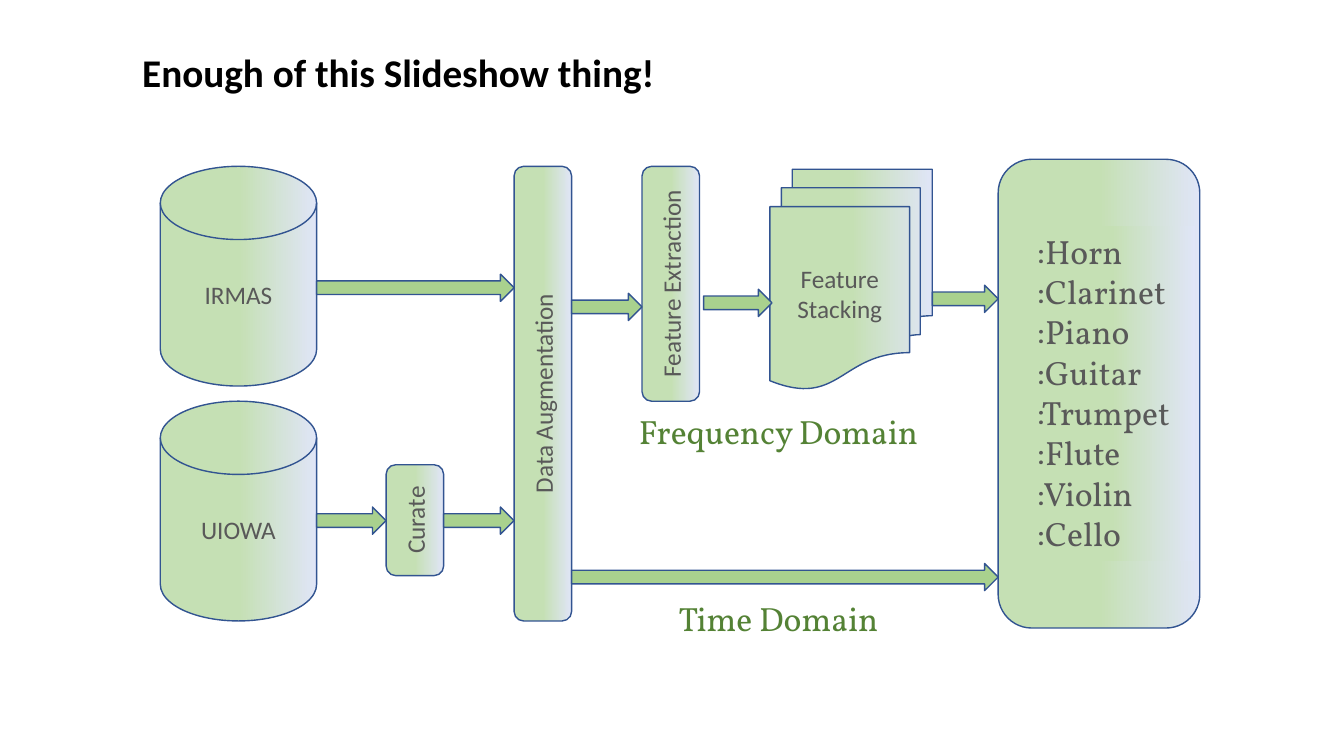
import dataclasses
import typing

import pptx
import pptx.dml.color
import pptx.enum.shapes
import pptx.enum.text
import pptx.shapes.autoshape
import pptx.util

Shape = pptx.shapes.autoshape.Shape
Preset = pptx.enum.shapes.MSO_SHAPE
Align = pptx.enum.text.PP_ALIGN
Anchor = pptx.enum.text.MSO_ANCHOR


@dataclasses.dataclass(frozen=True)
class Theme:
    green: str = "C5E0B4"
    lavender: str = "E0E5F7"
    arrow: str = "A9D18E"
    outline: str = "325491"
    label: str = "595959"
    domain: str = "548235"
    title: str = "000000"
    sans: str = "Calibri"
    serif: str = "Vollkorn"
    title_size: int = 28
    serif_size: int = 24
    label_size: int = 18
    line_width: int = 1


class Box(typing.NamedTuple):
    left: float
    top: float
    width: float
    height: float


class Stage(typing.NamedTuple):
    preset: Preset
    box: Box
    text: str = ""
    upright: bool = False


class Flow(typing.NamedTuple):
    start: float
    end: float
    top: float


class Caption(typing.NamedTuple):
    text: str
    top: float


THEME = Theme()
SLIDE_WIDTH = pptx.util.Inches(13.33)
SLIDE_HEIGHT = pptx.util.Inches(7.5)

TOP = 22
ROW = 31.07
DISK_LEFT, DISK_WIDTH, DISK_HEIGHT = 11.93, 11.63, 29.07
DISK_RIGHT = DISK_LEFT + DISK_WIDTH
COLUMN = 9.52
BAR_WIDTH = 4.28
CURATE, AUGMENTATION, EXTRACTION, STACKING = (28.73 + COLUMN * step for step in range(4))
CLASSES = 74.27
ARROW_HEIGHT = 3.6
GAP = 0.3
STACK_WIDTH = 12.08
CURATE_FLOW = 67.07

BAR = Preset.FLOWCHART_ALTERNATE_PROCESS
DISK = Preset.FLOWCHART_MAGNETIC_DISK

STAGES = [
    Stage(Preset.ROUNDED_RECTANGLE, Box(CLASSES, 21.07, 15, 62)),
    *(
        Stage(DISK, Box(DISK_LEFT, TOP + ROW * row, DISK_WIDTH, DISK_HEIGHT), name)
        for row, name in enumerate(["IRMAS", "UIOWA"])
    ),
    Stage(Preset.FLOWCHART_MULTIDOCUMENT, Box(STACKING, 22.4, STACK_WIDTH, DISK_HEIGHT), "Feature Stacking"),
    Stage(BAR, Box(CURATE, 61.47, BAR_WIDTH, 14.67), "Curate", True),
    Stage(BAR, Box(AUGMENTATION, TOP, BAR_WIDTH, ROW + DISK_HEIGHT), "Data Augmentation", True),
    Stage(BAR, Box(EXTRACTION, TOP, BAR_WIDTH, ROW), "Feature Extraction", True),
]
FLOWS = [
    Flow(DISK_RIGHT, CURATE, CURATE_FLOW),
    Flow(CURATE + BAR_WIDTH, AUGMENTATION, CURATE_FLOW),
    Flow(AUGMENTATION + BAR_WIDTH, CLASSES, 74.53),
    Flow(AUGMENTATION + BAR_WIDTH, EXTRACTION, 38.8),
    Flow(EXTRACTION + BAR_WIDTH + GAP, STACKING + GAP / 2, 38.27),
    Flow(STACKING + STACK_WIDTH, CLASSES, 37.73),
    Flow(DISK_RIGHT, AUGMENTATION, 36.27),
]
CAPTIONS = [Caption("Time Domain", 78.4), Caption("Frequency Domain", 53.73)]
INSTRUMENTS = ["Horn", "Clarinet", "Piano", "Guitar", "Trumpet", "Flute", "Violin", "Cello"]


def color(code: str) -> pptx.dml.color.RGBColor:
    return pptx.dml.color.RGBColor.from_string(code)


def place(box: Box) -> tuple[int, int, int, int]:
    sides = (SLIDE_WIDTH, SLIDE_HEIGHT, SLIDE_WIDTH, SLIDE_HEIGHT)
    left, top, width, height = (round(side * share / 100) for side, share in zip(sides, box))
    return left, top, width, height


def write(shape: Shape, text: str, font: str, size: int, code: str, align: Align,
          anchor: Anchor = Anchor.TOP, bold: bool = False) -> None:
    frame = shape.text_frame
    frame.text = text
    frame.word_wrap = True
    frame.vertical_anchor = anchor
    for paragraph in frame.paragraphs:
        paragraph.alignment = align
        for run in paragraph.runs:
            run.font.name = font
            run.font.size = pptx.util.Pt(size)
            run.font.bold = bold
            run.font.color.rgb = color(code)


def fill_gradient(shape: Shape) -> None:
    shape.fill.gradient()
    shape.fill.gradient_angle = 0
    stops = [(0.5, THEME.green), (1, THEME.lavender)]
    for stop, (position, code) in zip(shape.fill.gradient_stops, stops):
        stop.position = position
        stop.color.rgb = color(code)


def add_outlined(slide: pptx.slide.Slide, preset: Preset, box: Box) -> Shape:
    shape = slide.shapes.add_shape(preset, *place(box))
    shape.shadow.inherit = False
    shape.line.color.rgb = color(THEME.outline)
    shape.line.width = pptx.util.Pt(THEME.line_width)
    return shape


def add_stage(slide: pptx.slide.Slide, stage: Stage) -> None:
    shape = add_outlined(slide, stage.preset, stage.box)
    fill_gradient(shape)
    if stage.text:
        write(shape, stage.text, THEME.sans, THEME.label_size, THEME.label, Align.CENTER, Anchor.MIDDLE)
    if stage.upright:
        shape.text_frame._txBody.bodyPr.set("vert", "vert270")


def add_flow(slide: pptx.slide.Slide, flow: Flow) -> None:
    box = Box(flow.start, flow.top, flow.end - flow.start, ARROW_HEIGHT)
    arrow = add_outlined(slide, Preset.RIGHT_ARROW, box)
    arrow.fill.solid()
    arrow.fill.fore_color.rgb = color(THEME.arrow)


def add_serif_text(slide: pptx.slide.Slide, text: str, box: Box, code: str, align: Align) -> Shape:
    shape = slide.shapes.add_textbox(*place(box))
    write(shape, text, THEME.serif, THEME.serif_size, code, align)
    return shape


def set_title(slide: pptx.slide.Slide, text: str) -> None:
    title = slide.shapes.title
    title.left, title.top, title.width, title.height = place(Box(9.83, 0.27, 80.57, 19.33))
    write(title, text, THEME.sans, THEME.title_size, THEME.title, Align.LEFT, Anchor.MIDDLE, True)
    title.text_frame.paragraphs[0].line_spacing = 0.9


def main() -> None:
    presentation = pptx.Presentation()
    presentation.slide_width = SLIDE_WIDTH
    presentation.slide_height = SLIDE_HEIGHT
    slide = presentation.slides.add_slide(presentation.slide_layouts.get_by_name("Title Only"))
    set_title(slide, "Enough of this Slideshow thing!")
    for stage in STAGES:
        add_stage(slide, stage)
    instruments = "\n".join(f":{name}" for name in INSTRUMENTS)
    fill_gradient(add_serif_text(slide, instruments, Box(76.44, 29.87, 12.53, 44.4), THEME.label, Align.LEFT))
    for flow in FLOWS:
        add_flow(slide, flow)
    for caption in CAPTIONS:
        add_serif_text(slide, caption.text, Box(43.89, caption.top, 28.06, 6.67), THEME.domain, Align.CENTER)
    presentation.save("out.pptx")


main()
